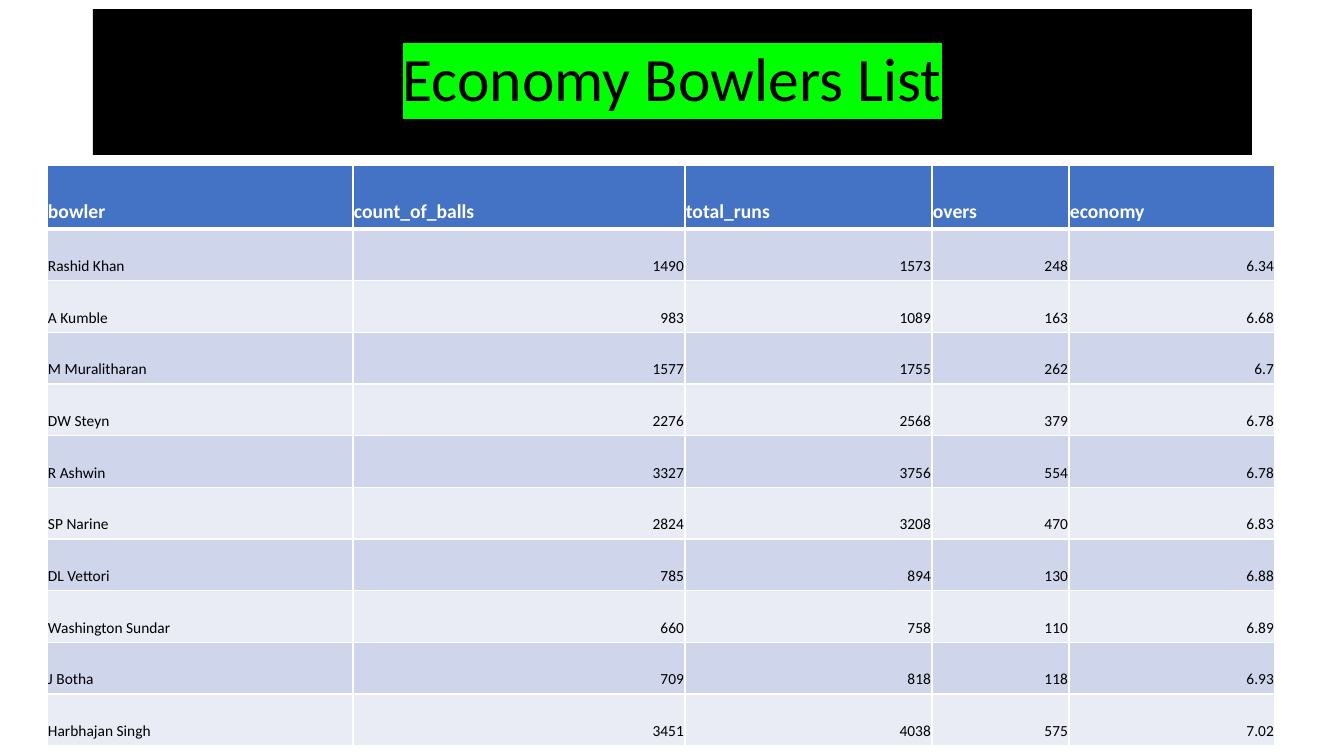
import pptx
import pptx.util
import pptx.dml.color
import pptx.enum.shapes
import pptx.enum.text
from lxml import etree

EMU_PER_PIXEL = 914400 / 100.8
DRAWING = "http://schemas.openxmlformats.org/drawingml/2006/main"
ALIGN = pptx.enum.text.PP_ALIGN
ANCHOR = pptx.enum.text.MSO_ANCHOR


def px(pixels):
    return pptx.util.Emu(round(pixels * EMU_PER_PIXEL))


def rgb(code):
    return pptx.dml.color.RGBColor.from_string(code)


deck = pptx.Presentation()
deck.slide_width, deck.slide_height = px(1344), px(756)
slide = deck.slides.add_slide(deck.slide_layouts[6])

# Title banner
banner = slide.shapes.add_shape(
    pptx.enum.shapes.MSO_SHAPE.RECTANGLE, px(93), px(9), px(1159), px(146))
banner.shadow.inherit = False
banner.fill.solid()
banner.fill.fore_color.rgb = rgb("000000")
banner.line.fill.background()
banner.text_frame.word_wrap = True
banner.text_frame.vertical_anchor = ANCHOR.MIDDLE
heading = banner.text_frame.paragraphs[0]
heading.alignment = ALIGN.CENTER
heading.line_spacing = 0.9
heading.font.size = pptx.util.Pt(44)
heading.font.name = "Calibri"
heading_run = heading.add_run()
heading_run.text = "Economy Bowlers List"
heading_run.font.color.rgb = rgb("000000")

# Green highlight behind the title words
highlight = etree.SubElement(heading_run.font._element, f"{{{DRAWING}}}highlight")
etree.SubElement(highlight, f"{{{DRAWING}}}srgbClr", val="00FF00")

# Bowling figures
bowlers = [
    ("bowler", "count_of_balls", "total_runs", "overs", "economy"),
    ("Rashid Khan", "1490", "1573", "248", "6.34"),
    ("A Kumble", "983", "1089", "163", "6.68"),
    ("M Muralitharan", "1577", "1755", "262", "6.7"),
    ("DW Steyn", "2276", "2568", "379", "6.78"),
    ("R Ashwin", "3327", "3756", "554", "6.78"),
    ("SP Narine", "2824", "3208", "470", "6.83"),
    ("DL Vettori", "785", "894", "130", "6.88"),
    ("Washington Sundar", "660", "758", "110", "6.89"),
    ("J Botha", "709", "818", "118", "6.93"),
    ("Harbhajan Singh", "3451", "4038", "575", "7.02"),
]
column_widths = [306, 332, 247, 137, 206]
header_height, body_height = 64, 517

economy_table = slide.shapes.add_table(
    len(bowlers), len(column_widths), px(47), px(165),
    px(sum(column_widths)), px(header_height + body_height)).table
for column, width in zip(economy_table.columns, column_widths):
    column.width = px(width)

for row_index, figures in enumerate(bowlers):
    is_header = row_index == 0
    economy_table.rows[row_index].height = (
        px(header_height) if is_header else px(body_height / (len(bowlers) - 1)))
    band = "4472C4" if is_header else ("E9EBF5", "CFD5EA")[row_index % 2]
    for column_index, figure in enumerate(figures):
        cell = economy_table.cell(row_index, column_index)
        cell.margin_left = cell.margin_right = cell.margin_top = px(1)
        cell.margin_bottom = px(5)
        cell.vertical_anchor = ANCHOR.BOTTOM

        # White grid, with a thicker rule under the header
        for side in "LRTB":
            thick = (row_index, side) in [(0, "B"), (1, "T")]
            border = etree.SubElement(
                cell._tc.get_or_add_tcPr(), f"{{{DRAWING}}}ln{side}",
                w=str(pptx.util.Pt(3 if thick else 1)))
            border_fill = etree.SubElement(border, f"{{{DRAWING}}}solidFill")
            etree.SubElement(border_fill, f"{{{DRAWING}}}srgbClr", val="FFFFFF")
        cell.fill.solid()
        cell.fill.fore_color.rgb = rgb(band)

        entry = cell.text_frame.paragraphs[0]
        entry.text = figure
        entry.alignment = ALIGN.LEFT if is_header or column_index == 0 else ALIGN.RIGHT
        entry.font.name = "Calibri"
        entry.font.size = pptx.util.Pt(14 if is_header else 11)
        entry.font.bold = is_header
        entry.font.color.rgb = rgb("FFFFFF" if is_header else "000000")

deck.save("out.pptx")
